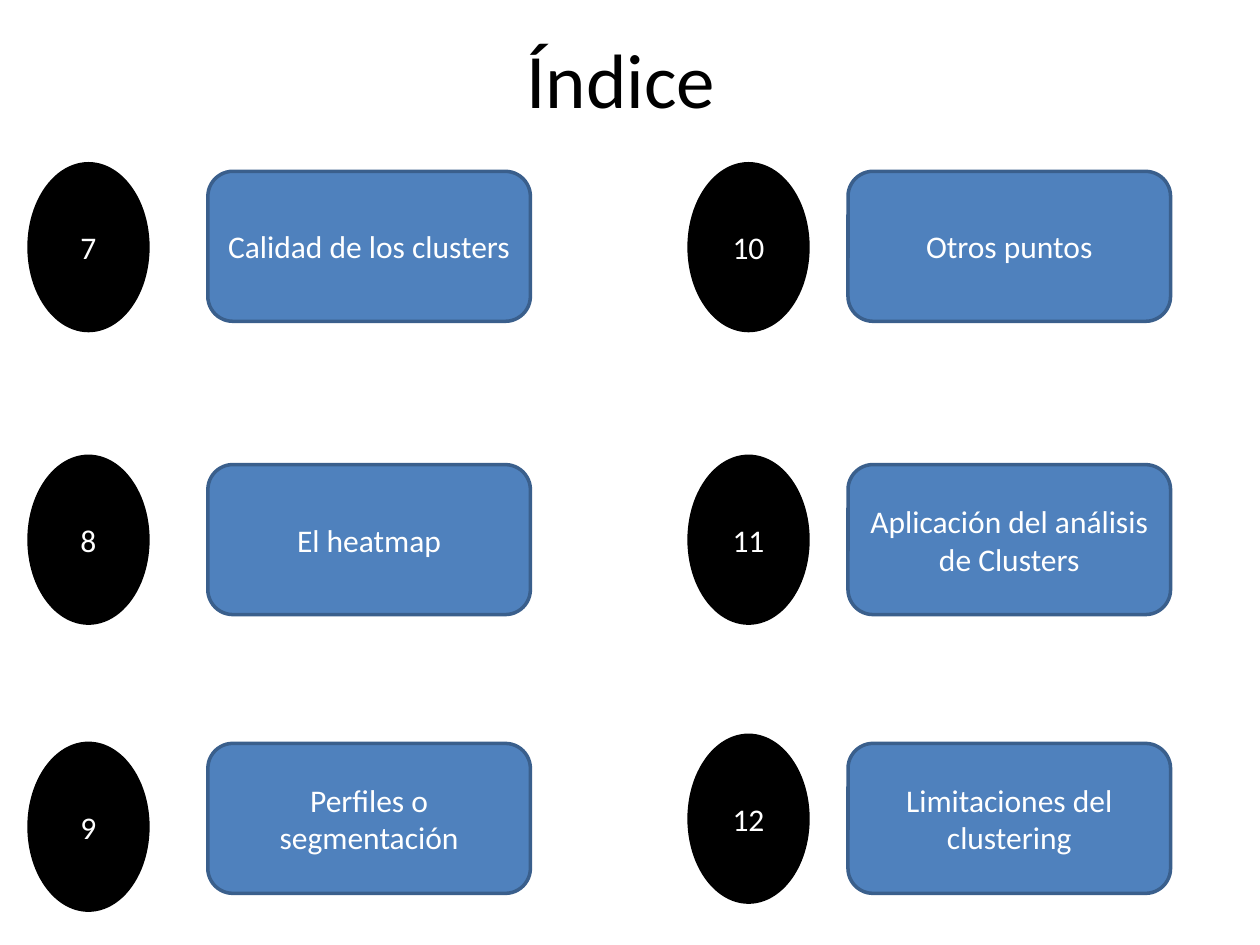
import pptx
import pptx.util
import pptx.dml.color
import pptx.enum.shapes
import pptx.enum.text

Pt = pptx.util.Pt
RGBColor = pptx.dml.color.RGBColor
MSO_SHAPE = pptx.enum.shapes.MSO_SHAPE

BLACK = RGBColor(0x00, 0x00, 0x00)
WHITE = RGBColor(0xFF, 0xFF, 0xFF)
BLUE = RGBColor(0x4F, 0x81, 0xBD)
DARK_BLUE = RGBColor(0x3A, 0x5F, 0x8C)

BOX_TOPS = (97.9, 265.5, 424.8)
COLUMNS = (
    (16.6, 118.8, (93.6, 260.8, 424.8), (
        ("7", "Calidad de los clusters"),
        ("8", "El heatmap"),
        ("9", "Perfiles o segmentación"),
    )),
    (393.8, 484.6, (93.6, 260.8, 420.2), (
        ("10", "Otros puntos"),
        ("11", "Aplicación del análisis de Clusters"),
        ("12", "Limitaciones del clustering"),
    )),
)


def write_text(shape, text, size, color):
    tf = shape.text_frame
    tf.word_wrap = True
    tf.vertical_anchor = pptx.enum.text.MSO_ANCHOR.MIDDLE
    p = tf.paragraphs[0]
    p.text = text
    p.alignment = pptx.enum.text.PP_ALIGN.CENTER
    p.font.name = "Calibri"
    p.font.size = Pt(size)
    p.font.color.rgb = color


def set_title(s, text):
    title = s.shapes.title
    title.left, title.top = Pt(50.4), Pt(9.4)
    title.width, title.height = Pt(609.1), Pt(69.8)
    write_text(title, text, 44, BLACK)


def add_shape(s, kind, left, top, width, height, fill, line, text):
    sp = s.shapes.add_shape(kind, Pt(left), Pt(top), Pt(width), Pt(height))
    sp.shadow.inherit = False
    sp.fill.solid()
    sp.fill.fore_color.rgb = fill
    sp.line.color.rgb = line
    sp.line.width = Pt(2)
    write_text(sp, text, 18, WHITE)


def add_number(s, left, top, text):
    add_shape(s, MSO_SHAPE.OVAL, left, top, 67.9, 95.3, BLACK, BLACK, text)


def add_topic(s, left, top, text):
    add_shape(s, MSO_SHAPE.ROUNDED_RECTANGLE, left, top, 184.3, 85.7, BLUE, DARK_BLUE, text)


def main():
    prs = pptx.Presentation()
    prs.slide_width, prs.slide_height = Pt(720), Pt(540)
    s = prs.slides.add_slide(prs.slide_layouts[5])
    set_title(s, "Índice")
    for number_left, topic_left, number_tops, entries in COLUMNS:
        for number_top, box_top, (number, topic) in zip(number_tops, BOX_TOPS, entries):
            add_number(s, number_left, number_top, number)
            add_topic(s, topic_left, box_top, topic)
    prs.save("out.pptx")


if __name__ == "__main__":
    main()
